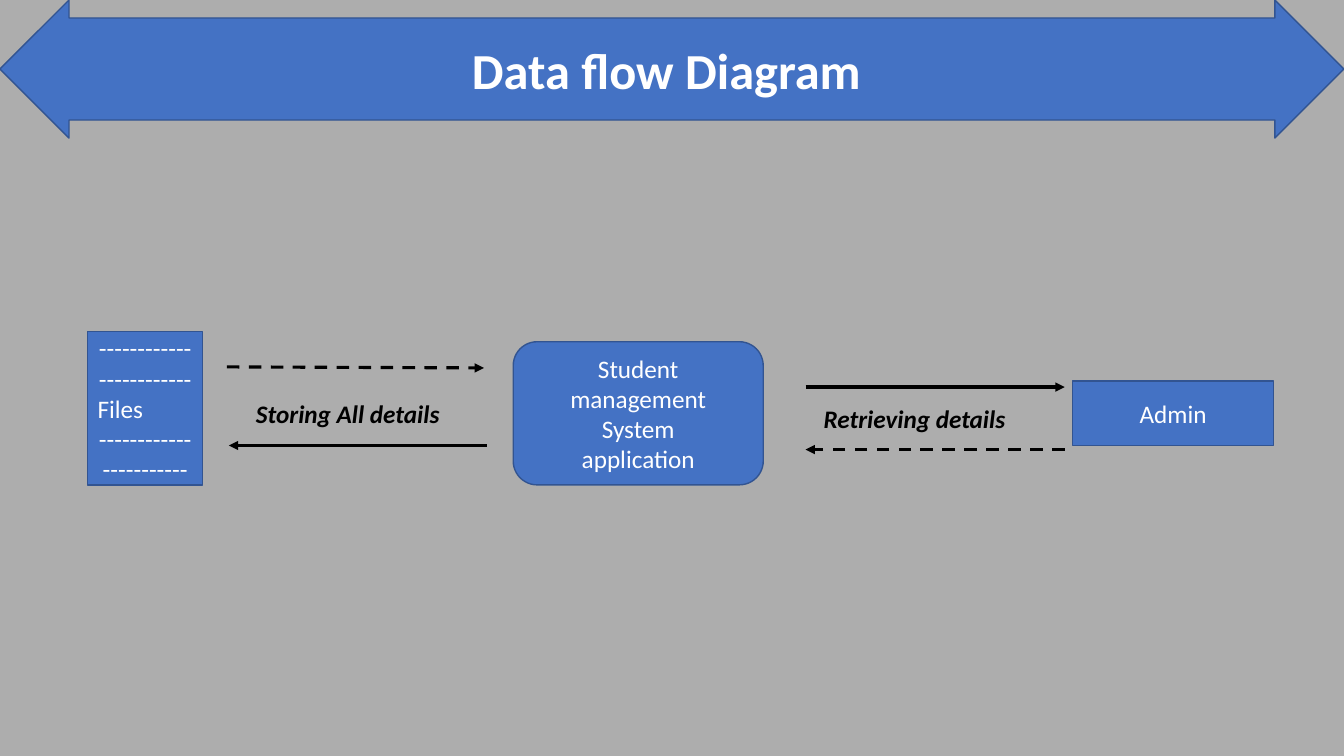
"""Build the data flow diagram slide for the student management system."""
from dataclasses import dataclass

from lxml import etree
from pptx import Presentation
from pptx.dml.color import RGBColor
from pptx.enum.dml import MSO_LINE
from pptx.enum.shapes import MSO_CONNECTOR, MSO_SHAPE
from pptx.enum.text import MSO_ANCHOR, MSO_AUTO_SIZE, PP_ALIGN
from pptx.oxml.ns import qn
from pptx.shapes.autoshape import Shape
from pptx.slide import Slide
from pptx.util import Inches, Pt

RECTANGLE = MSO_SHAPE.RECTANGLE
ROUNDED = MSO_SHAPE.ROUNDED_RECTANGLE
BANNER = MSO_SHAPE.LEFT_RIGHT_ARROW
STRAIGHT = MSO_CONNECTOR.STRAIGHT
DASH = MSO_LINE.DASH
MIDDLE = MSO_ANCHOR.MIDDLE
TOP = MSO_ANCHOR.TOP
CENTER = PP_ALIGN.CENTER
LEFT = PP_ALIGN.LEFT
NO_AUTOFIT = MSO_AUTO_SIZE.NONE
TITLE_ONLY = 5


@dataclass(frozen=True)
class Theme:
    background: RGBColor = RGBColor(0xAD, 0xAD, 0xAD)
    fill: RGBColor = RGBColor(0x44, 0x72, 0xC4)
    outline: RGBColor = RGBColor(0x32, 0x54, 0x91)
    light: RGBColor = RGBColor(0xFF, 0xFF, 0xFF)
    dark: RGBColor = RGBColor(0, 0, 0)
    font: str = "Calibri"
    title_size: int = 36
    body_size: int = 18
    outline_width: float = 1
    flow_width: float = 2.25


@dataclass(frozen=True)
class Frame:
    left: float
    top: float
    width: float
    height: float

    def lengths(self) -> tuple[Inches, Inches, Inches, Inches]:
        return Inches(self.left), Inches(self.top), Inches(self.width), Inches(self.height)


@dataclass(frozen=True)
class Line:
    text: str
    alignment: PP_ALIGN = CENTER


@dataclass(frozen=True)
class Node:
    frame: Frame
    lines: tuple[Line, ...]
    preset: MSO_SHAPE = RECTANGLE


@dataclass(frozen=True)
class Flow:
    start: tuple[float, float]
    end: tuple[float, float]
    dashed: bool = False


@dataclass(frozen=True)
class Label:
    frame: Frame
    text: str


THEME = Theme()
BANNER_FRAME = Frame(0, 0, 13.33, 1.37)
TITLE_FRAME = Frame(0, 0, 13.22, 1.37)
RULE = Line("-" * 12)
NODES = (
    Node(Frame(0.87, 3.29, 1.14, 1.52),
         (RULE, RULE, Line("Files", LEFT), RULE, Line("-" * 11))),
    Node(Frame(5.09, 3.39, 2.48, 1.42),
         (Line("Student"), Line("management"), Line("System"), Line("application")), ROUNDED),
    Node(Frame(10.64, 3.78, 1.99, 0.64), (Line("Admin"),)),
)
FLOWS = (
    Flow((2.25, 3.64), (4.8, 3.65), dashed=True),
    Flow((4.83, 4.42), (2.27, 4.42)),
    Flow((7.99, 3.84), (10.56, 3.84)),
    Flow((10.56, 4.46), (7.99, 4.46), dashed=True),
)
LABELS = (
    Label(Frame(2.44, 3.9, 2.22, 0.4), "Storing All details"),
    Label(Frame(8.07, 3.95, 2.01, 0.4), "Retrieving details"),
)


def write_lines(shape: Shape, lines: tuple[Line, ...], size: int, color: RGBColor,
                anchor: MSO_ANCHOR = MIDDLE, bold: bool = False, italic: bool = False) -> None:
    text_frame = shape.text_frame
    text_frame.word_wrap = True
    text_frame.auto_size = NO_AUTOFIT
    text_frame.vertical_anchor = anchor
    for index, line in enumerate(lines):
        paragraph = text_frame.add_paragraph() if index else text_frame.paragraphs[0]
        paragraph.alignment = line.alignment
        run = paragraph.add_run()
        run.text = line.text
        font = run.font
        font.name = THEME.font
        font.size = Pt(size)
        font.bold = bold
        font.italic = italic
        font.color.rgb = color


def add_box(slide: Slide, preset: MSO_SHAPE, frame: Frame) -> Shape:
    shape = slide.shapes.add_shape(preset, *frame.lengths())
    shape.shadow.inherit = False
    shape.fill.solid()
    shape.fill.fore_color.rgb = THEME.fill
    shape.line.color.rgb = THEME.outline
    shape.line.width = Pt(THEME.outline_width)
    return shape


def add_title(slide: Slide, text: str) -> None:
    banner = add_box(slide, BANNER, BANNER_FRAME)
    banner.adjustments[0] = 0.739
    banner.adjustments[1] = 0.5
    title = slide.shapes.title
    title.left, title.top, title.width, title.height = TITLE_FRAME.lengths()
    write_lines(title, (Line(text),), THEME.title_size, THEME.light, bold=True)
    title.element.addprevious(banner.element)


def add_node(slide: Slide, node: Node) -> None:
    shape = add_box(slide, node.preset, node.frame)
    write_lines(shape, node.lines, THEME.body_size, THEME.light)


def add_flow(slide: Slide, flow: Flow) -> None:
    points = (Inches(value) for value in flow.start + flow.end)
    connector = slide.shapes.add_connector(STRAIGHT, *points)
    connector.line.color.rgb = THEME.dark
    connector.line.width = Pt(THEME.flow_width)
    if flow.dashed:
        connector.line.dash_style = DASH
    properties = connector.element.spPr
    etree.SubElement(properties.find(qn("a:ln")), qn("a:tailEnd"), type="triangle")
    etree.SubElement(properties, qn("a:effectLst"))


def add_label(slide: Slide, label: Label) -> None:
    box = slide.shapes.add_textbox(*label.frame.lengths())
    write_lines(box, (Line(label.text, LEFT),), THEME.body_size, THEME.dark,
                anchor=TOP, bold=True, italic=True)


def main() -> None:
    presentation = Presentation()
    presentation.slide_width = Inches(13.33)
    presentation.slide_height = Inches(7.5)
    slide = presentation.slides.add_slide(presentation.slide_layouts[TITLE_ONLY])
    slide.background.fill.solid()
    slide.background.fill.fore_color.rgb = THEME.background
    add_title(slide, "Data flow Diagram")
    for node in NODES:
        add_node(slide, node)
    for flow in FLOWS:
        add_flow(slide, flow)
    for label in LABELS:
        add_label(slide, label)
    presentation.save("out.pptx")


if __name__ == "__main__":
    main()
